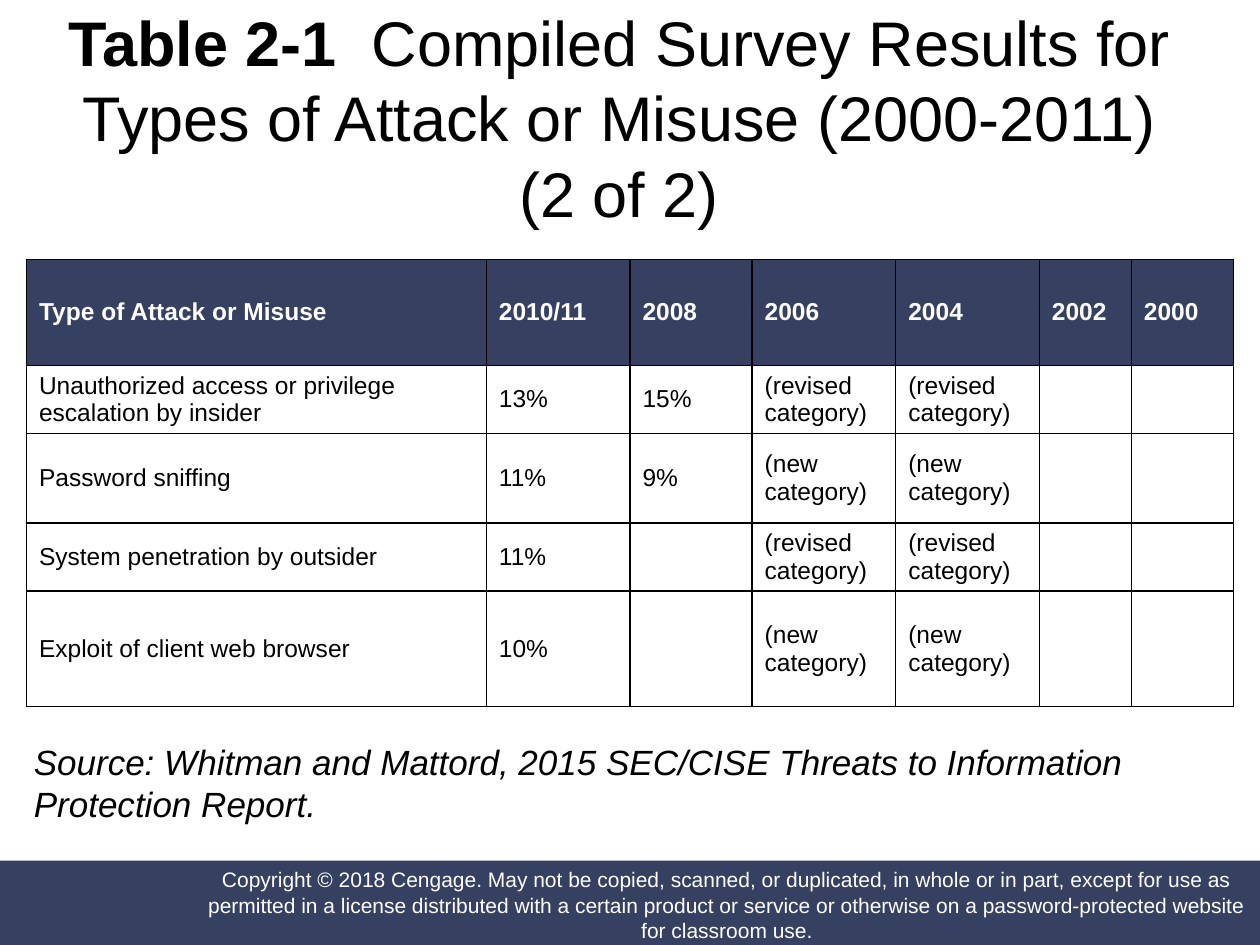
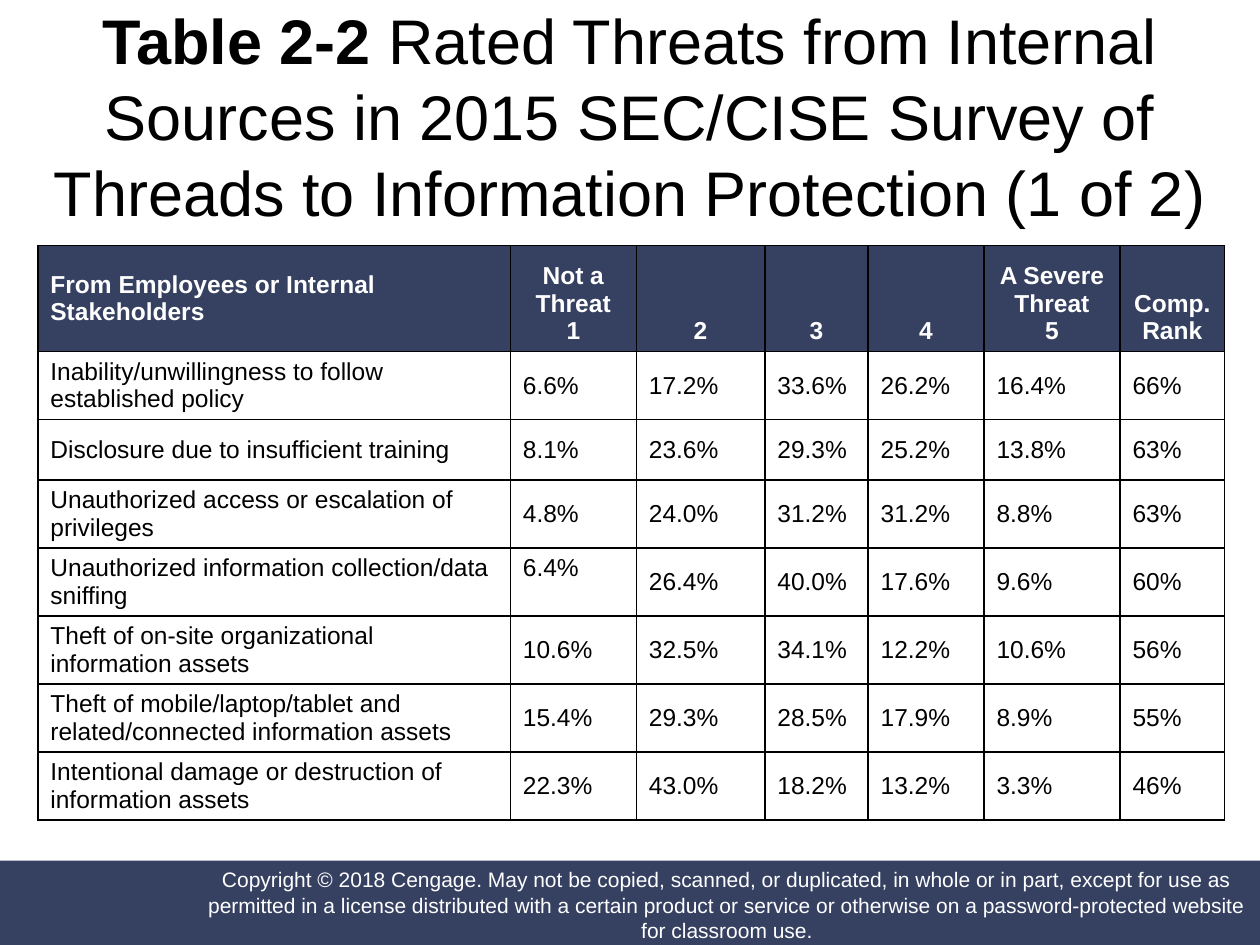
from dataclasses import dataclass

from lxml import etree
from pptx import Presentation
from pptx.dml.color import RGBColor
from pptx.enum import shapes, text
from pptx.oxml import ns
from pptx.util import Inches, Pt


@dataclass(frozen=True)
class Theme:
    font: str = "Arial"
    navy: RGBColor = RGBColor(0x36, 0x41, 0x62)
    white: RGBColor = RGBColor(0xFF, 0xFF, 0xFF)
    black: RGBColor = RGBColor(0, 0, 0)
    title: int = 36
    source: int = 20
    cell: int = 14
    footer: int = 12


theme = Theme()
MIDDLE, TOP, BOTTOM = (text.MSO_ANCHOR.MIDDLE, text.MSO_ANCHOR.TOP,
                       text.MSO_ANCHOR.BOTTOM)
CENTER, LEFT = text.PP_ALIGN.CENTER, text.PP_ALIGN.LEFT

COPYRIGHT = (
    "Copyright © 2018 Cengage. May not be copied, scanned, or duplicated, in whole "
    "or in part, except for use as permitted in a license distributed with a certain "
    "product or service or otherwise on a password-protected website for classroom use."
)
SOURCE = ("Source: Whitman and Mattord, 2015 SEC/CISE Threats to Information "
          "Protection Report.")
REVISED, NEW = "(revised category)", "(new category)"

pages = [
    dict(
        number="Table 2-1  ",
        caption="Compiled Survey Results for Types of Attack or Misuse (2000-2011) (2 of 2)",
        title_at=(0.33, 0.1, 9.17, 1.65),
        table_at=(0.21, 2.06),
        columns=[3.65, 1.14, 0.97, 1.14, 1.14, 0.73, 0.81],
        heights=[0.84, 0.54, 0.71, 0.54, 0.92],
        heading_style=(MIDDLE, LEFT),
        top_cells=[],
        rows=[
            ["Type of Attack or Misuse", "2010/11", "2008", "2006", "2004", "2002", "2000"],
            ["Unauthorized access or privilege escalation by insider",
             "13%", "15%", REVISED, REVISED, "", ""],
            ["Password sniffing", "11%", "9%", NEW, NEW, "", ""],
            ["System penetration by outsider", "11%", "", REVISED, REVISED, "", ""],
            ["Exploit of client web browser", "10%", "", NEW, NEW, "", ""],
        ],
        source=SOURCE,
    ),
    dict(
        number="Table 2-2 ",
        caption="Rated Threats from Internal Sources in 2015 SEC/CISE Survey of "
                "Threads to Information Protection (1 of 2)",
        title_at=(0, 0.08, 10, 1.67),
        table_at=(0.3, 1.95),
        columns=[3.75, 1, 1.02, 0.82, 0.92, 1.08, 0.83],
        heights=[0.84, 0.54, 0.48] + [0.54] * 5,
        heading_style=(BOTTOM, CENTER),
        top_cells=[(4, 1)],
        rows=[
            ["From Employees or Internal Stakeholders", "Not a Threat\n1", "2", "3", "4",
             "A Severe Threat\n5", "Comp.\vRank"],
            ["Inability/unwillingness to follow established policy",
             "6.6%", "17.2%", "33.6%", "26.2%", "16.4%", "66%"],
            ["Disclosure due to insufficient training",
             "8.1%", "23.6%", "29.3%", "25.2%", "13.8%", "63%"],
            ["Unauthorized access or escalation of privileges",
             "4.8%", "24.0%", "31.2%", "31.2%", "8.8%", "63%"],
            ["Unauthorized information collection/data sniffing",
             "6.4%", "26.4%", "40.0%", "17.6%", "9.6%", "60%"],
            ["Theft of on-site organizational information assets",
             "10.6%", "32.5%", "34.1%", "12.2%", "10.6%", "56%"],
            ["Theft of mobile/laptop/tablet and related/connected information assets",
             "15.4%", "29.3%", "28.5%", "17.9%", "8.9%", "55%"],
            ["Intentional damage or destruction of information assets",
             "22.3%", "43.0%", "18.2%", "13.2%", "3.3%", "46%"],
        ],
        source=None,
    ),
]


def style(frame, size, color, align=LEFT, bold=False, italic=False):
    """Give every paragraph of a text frame the same look."""
    for paragraph in frame.paragraphs:
        paragraph.alignment = align
        for font in [paragraph.font] + [run.font for run in paragraph.runs]:
            font.name, font.size, font.color.rgb = theme.font, Pt(size), color
            font.bold, font.italic = bold, italic


def border(cell):
    """Draw a thin black line on all four sides, ahead of the cell's fill."""
    properties = cell._tc.get_or_add_tcPr()
    for position, side in enumerate(("lnL", "lnR", "lnT", "lnB")):
        line = etree.Element(ns.qn(f"a:{side}"), w=str(Pt(1)))
        solid = etree.SubElement(line, ns.qn("a:solidFill"))
        etree.SubElement(solid, ns.qn("a:srgbClr"), val=str(theme.black))
        properties.insert(position, line)


deck = Presentation()
deck.slide_width, deck.slide_height = Inches(10), Inches(7.5)
title_only = deck.slide_layouts[5]

for page in pages:
    slide = deck.slides.add_slide(title_only)

    # Footer band and copyright
    for at, words in [((-0.01, 6.83, 10.01, 0.68), ""),
                      ((1.62, 6.86, 8.3, 0.64), COPYRIGHT)]:
        band = slide.shapes.add_shape(shapes.MSO_SHAPE.RECTANGLE, *map(Inches, at))
        band.shadow.inherit = False
        band.fill.solid()
        band.fill.fore_color.rgb = theme.navy
        band.line.fill.background()
        if words:
            frame = band.text_frame
            frame.text = words
            frame.word_wrap = True
            frame.vertical_anchor = MIDDLE
            frame.margin_left = frame.margin_right = 0
            frame.margin_top = frame.margin_bottom = 0
            style(frame, theme.footer, theme.white, CENTER)

    # Title
    title = slide.shapes.title
    title.left, title.top, title.width, title.height = map(Inches, page["title_at"])
    heading = title.text_frame
    heading.text = page["number"]
    heading.paragraphs[0].add_run().text = page["caption"]
    heading.word_wrap = True
    heading.auto_size = text.MSO_AUTO_SIZE.NONE
    heading.vertical_anchor = MIDDLE
    style(heading, theme.title, theme.black, CENTER)
    heading.paragraphs[0].runs[0].font.bold = True

    # Survey table
    rows, columns, heights = page["rows"], page["columns"], page["heights"]
    survey = slide.shapes.add_table(
        len(rows), len(columns), *map(Inches, page["table_at"]),
        Inches(sum(columns)), Inches(sum(heights))).table
    survey.horz_banding = False
    for column, width in zip(survey.columns, columns):
        column.width = Inches(width)
    for row, height in zip(survey.rows, heights):
        row.height = Inches(height)
    for r, row in enumerate(rows):
        for c, words in enumerate(row):
            cell = survey.cell(r, c)
            cell.text = words
            anchor, align = page["heading_style"] if r == 0 and c > 0 else (MIDDLE, LEFT)
            cell.vertical_anchor = TOP if (r, c) in page["top_cells"] else anchor
            if r == 0:
                cell.fill.solid()
                cell.fill.fore_color.rgb = theme.navy
            else:
                cell.fill.background()
            border(cell)
            style(cell.text_frame, theme.cell, theme.black if r else theme.white,
                  align, bold=r == 0)

    if page["source"]:
        source = slide.shapes.add_textbox(*map(Inches, (0.17, 5.83, 9.67, 0.83)))
        source.text_frame.text = page["source"]
        source.text_frame.word_wrap = True
        style(source.text_frame, theme.source, theme.black, italic=True)

deck.save("out.pptx")
